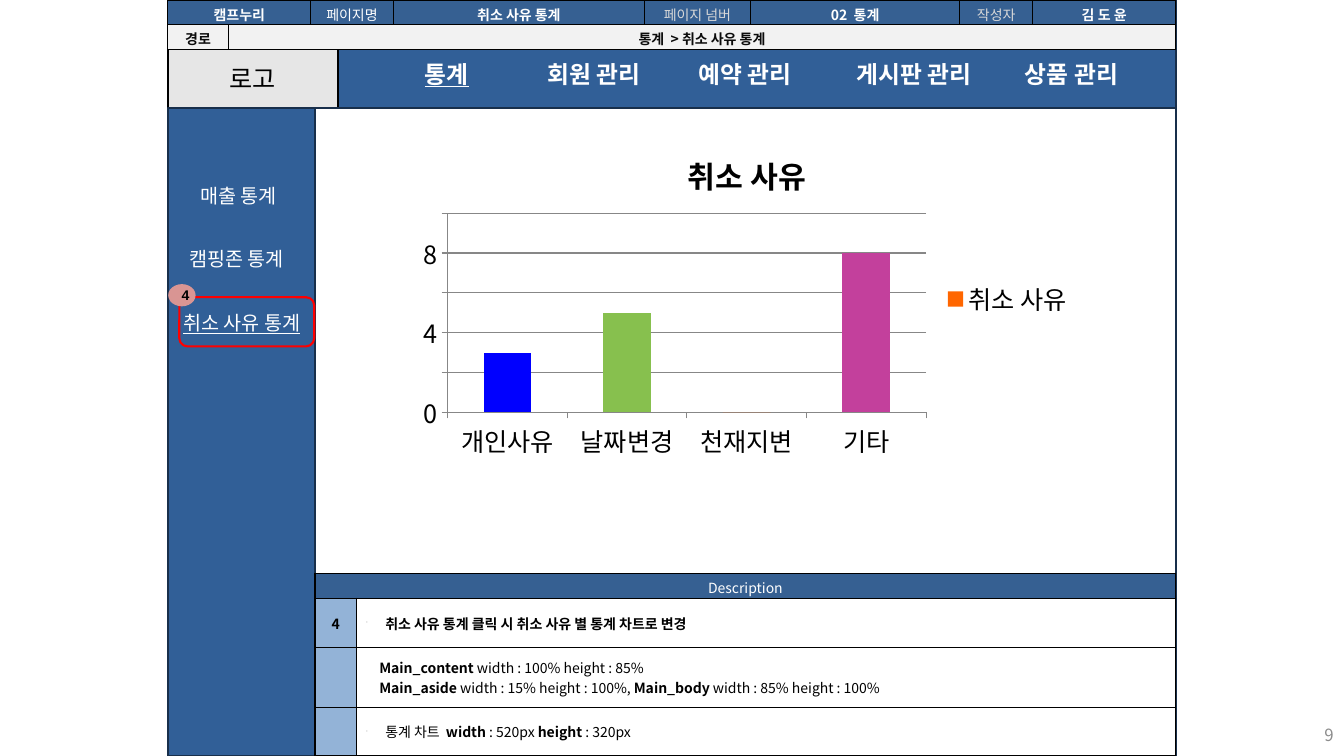
from lxml.etree import SubElement
from pptx import Presentation
from pptx.chart.data import CategoryChartData
from pptx.dml.color import RGBColor
from pptx.enum.chart import XL_CHART_TYPE as ChartType, XL_LEGEND_POSITION as LegendPosition, XL_TICK_MARK as TickMark
from pptx.enum.shapes import MSO_SHAPE as Preset
from pptx.enum.text import MSO_ANCHOR as Anchor, MSO_AUTO_SIZE as AutoSize, PP_ALIGN as Align
from pptx.oxml.ns import qn
from pptx.util import Cm, Pt

THEME = {
    "font": "Noto Sans CJK KR", "badge_font": "Arial",
    "navy": "315F97", "outline": "182F4B", "header": "366092", "key": "93B3D7",
    "path": "F2F2F2", "logo": "E6E6E6", "badge": "D99593", "highlight": "FF0000",
    "white": "FFFFFF", "black": "000000", "muted": "D8D8D8", "path_text": "0C0C0C",
    "page": "8C8C8C", "grid": "878787", "series": "FF6600",
    "bars": {0: "0000FF", 1: "87C04E", 3: "C3409C"},
    "logo_size": 18, "nav_size": 17, "side_size": 14, "small_size": 10,
    "page_size": 12, "chart_size": 18, "title_size": 21.6,
}


def write_runs(paragraph, runs, size, color, align=Align.CENTER, font="font"):
    paragraph.alignment = align
    for text, style in runs:
        run = paragraph.add_run()
        run.text = text
        values = {"name": THEME[font], "size": Pt(THEME[size]), "bold": "b" in style, "underline": "u" in style}
        for name, value in values.items():
            setattr(run.font, name, value)
        run.font.color.rgb = RGBColor.from_string(THEME[color])
        SubElement(run._r.get_or_add_rPr(), qn("a:ea"), typeface=THEME[font])


def style_cell(cell, fill, anchor):
    values = {"margin_left": Cm(0.25), "margin_right": Cm(0.25), "margin_top": Cm(0.1),
              "margin_bottom": Cm(0.1), "vertical_anchor": anchor}
    for name, value in values.items():
        setattr(cell, name, value)
    properties = cell._tc.get_or_add_tcPr()
    for side in ("a:lnL", "a:lnR", "a:lnT", "a:lnB"):
        border = SubElement(properties, qn(side), w=str(Pt(1)))
        SubElement(SubElement(border, qn("a:solidFill")), qn("a:srgbClr"), val=THEME["black"])
    cell.fill.solid()
    cell.fill.fore_color.rgb = RGBColor.from_string(THEME[fill])


presentation = Presentation()
presentation.slide_width, presentation.slide_height = Cm(33.87), Cm(19.05)
slide = presentation.slides.add_slide(presentation.slide_layouts[6])

panels = [
    (Preset.RECTANGLE, 4.23, 0, 25.4, 19.05, None, "outline", None),
    (Preset.RECTANGLE, 4.23, 0, 25.4, 2.72, "navy", "outline", None),
    (Preset.RECTANGLE, 4.23, 1.22, 4.29, 1.5, "logo", "black", ("로고", "", "logo_size", "font")),
    (Preset.RECTANGLE, 4.23, 2.72, 3.71, 16.33, "navy", "outline", None),
    (Preset.RECTANGLE, 7.94, 2.72, 21.69, 16.33, None, "outline", None),
    (Preset.ROUNDED_RECTANGLE, 4.52, 7.49, 3.4, 1.24, None, "highlight", None),
    (Preset.OVAL, 4.24, 7.16, 0.69, 0.56, "badge", None, ("4", "b", "small_size", "badge_font")),
]
for preset, left, top, width, height, fill, line, label in panels:
    shape = slide.shapes.add_shape(preset, Cm(left), Cm(top), Cm(width), Cm(height))
    shape.shadow.inherit = False
    if fill:
        shape.fill.solid()
        shape.fill.fore_color.rgb = RGBColor.from_string(THEME[fill])
    else:
        shape.fill.background()
    if line:
        shape.line.color.rgb = RGBColor.from_string(THEME[line])
        shape.line.width = Pt(1.5)
    else:
        shape.line.fill.background()
    if label:
        text, style, size, font = label
        shape.text_frame.vertical_anchor = Anchor.MIDDLE
        write_runs(shape.text_frame.paragraphs[0], [(text, style)], size, "black", font=font)

nav_items = [("통계", 10.46, 1.7, "bu"), ("회원 관리", 13.54, 3, "b"), ("예약 관리", 17.35, 3.02, "b"),
             ("게시판 관리", 21.34, 3.58, "b"), ("상품 관리", 25.58, 3, "b")]
side_items = [("매출 통계", 4.8, 2.57, ""), ("캠핑존 통계", 4.52, 3.05, ""), ("취소 사유 통계", 4.37, 3.71, "u")]
menu = [(text, left, 1.37, width, 0.99, style, "nav_size") for text, left, width, style in nav_items]
menu += [(text, left, 4.5 + 1.6 * index, width, 0.81, style, "side_size")
         for index, (text, left, width, style) in enumerate(side_items)]
for text, left, top, width, height, style, size in menu:
    box = slide.shapes.add_textbox(Cm(left), Cm(top), Cm(width), Cm(height))
    box.text_frame.word_wrap = False
    box.text_frame.auto_size = AutoSize.SHAPE_TO_FIT_TEXT
    write_runs(box.text_frame.paragraphs[0], [(text, style)], size, "white", Align.LEFT)

descriptions = [
    ("4", True, [[("취소 사유 통계 클릭 시 취소 사유 별 통계 차트로 변경", "b")]]),
    ("", False, [[("Main_content ", "b"), ("width : 100% height : 85%", "")],
                 [("Main_aside", "b"), (" width : 15% height : 100%, ", ""),
                  ("Main_body ", "b"), ("width : 85% height : 100%", "")]]),
    ("", True, [[("통계 차트  ", ""), ("width", "b"), (" : 520px ", ""), ("height", "b"), (" : 320px", "")]]),
]
header_cells = [(0, "캠프누리", "white", "b"), (2, "페이지명", "white", ""), (3, "취소 사유 통계", "white", "b"),
                (4, "페이지 넘버", "muted", ""), (5, "02  통계", "white", "b"),
                (6, "작성자", "muted", ""), (7, "김 도 윤", "white", "b")]
layouts = [
    (7.94, 14.45, [1.04, 20.65], [0.6, 1.25, 1.5, 1.22]),
    (4.23, 0, [1.52, 2.08, 2.08, 6.33, 2.67, 5.28, 1.83, 3.61], [0.61, 0.61]),
]
tables = []
for left, top, widths, heights in layouts:
    frame = slide.shapes.add_table(len(heights), len(widths), Cm(left), Cm(top), Cm(sum(widths)), Cm(sum(heights)))
    table = frame.table
    table.first_row = table.horz_banding = False
    for column, width in zip(table.columns, widths):
        column.width = Cm(width)
    for row, height in zip(table.rows, heights):
        row.height = Cm(height)
    tables.append(table)
description_table, header_table = tables

for cell in description_table.iter_cells():
    style_cell(cell, "white", Anchor.MIDDLE)
for column in range(2):
    description_table.cell(0, column).fill.fore_color.rgb = RGBColor.from_string(THEME["header"])
description_table.cell(0, 0).merge(description_table.cell(0, 1))
write_runs(description_table.cell(0, 0).text_frame.paragraphs[0], [("Description", "")], "small_size", "white")
for row, (number, bulleted, lines) in enumerate(descriptions, 1):
    key = description_table.cell(row, 0)
    key.fill.fore_color.rgb = RGBColor.from_string(THEME["key"])
    write_runs(key.text_frame.paragraphs[0], [(number, "b")], "small_size", "black")
    text_frame = description_table.cell(row, 1).text_frame
    for index, runs in enumerate(lines):
        paragraph = text_frame.add_paragraph() if index else text_frame.paragraphs[0]
        write_runs(paragraph, runs, "small_size", "black", Align.LEFT)
        properties = paragraph._p.get_or_add_pPr()
        properties.set("marL", str(Cm(0.48 if bulleted else 0.33)))
        properties.set("indent", str(Cm(-0.48 if bulleted else 0)))
        if bulleted:
            SubElement(SubElement(properties, qn("a:buClr")), qn("a:srgbClr"), val=THEME["black"])
            SubElement(properties, qn("a:buSzPct"), val="25000")
            SubElement(properties, qn("a:buChar"), char="-")

for row, (fill, anchor) in enumerate([("header", Anchor.TOP), ("path", Anchor.MIDDLE)]):
    for column in range(8):
        style_cell(header_table.cell(row, column), fill, anchor)
header_table.cell(0, 0).merge(header_table.cell(0, 1))
header_table.cell(1, 1).merge(header_table.cell(1, 7))
for column, text, color, style in header_cells:
    write_runs(header_table.cell(0, column).text_frame.paragraphs[0], [(text, style)], "small_size", color)
for column, text in enumerate(["경로", "통계  > 취소 사유 통계"]):
    write_runs(header_table.cell(1, column).text_frame.paragraphs[0], [(text, "b")], "small_size", "path_text")

chart_data = CategoryChartData()
chart_data.categories = ["개인사유", "날짜변경", "천재지변", "기타"]
chart_data.add_series("취소 사유", [3, 5, 0, 8])
chart = slide.shapes.add_chart(ChartType.COLUMN_CLUSTERED, Cm(10.34), Cm(3.33), Cm(16.97), Cm(8.41), chart_data).chart
chart.font.name = THEME["font"]
chart.font.size = Pt(THEME["chart_size"])
chart.font.color.rgb = RGBColor.from_string(THEME["black"])
chart.has_title = True
write_runs(chart.chart_title.text_frame.paragraphs[0], [("취소 사유", "b")], "title_size", "black")
chart.has_legend = True
chart.legend.position = LegendPosition.RIGHT
chart.legend.include_in_layout = False
value_axis = chart.value_axis
for name, value in {"minimum_scale": 0, "maximum_scale": 10, "major_unit": 2, "has_major_gridlines": True}.items():
    setattr(value_axis, name, value)
for axis in (chart.category_axis, value_axis):
    axis.major_tick_mark = TickMark.OUTSIDE
for axis_line in (chart.category_axis.format.line, value_axis.format.line, value_axis.major_gridlines.format.line):
    axis_line.color.rgb = RGBColor.from_string(THEME["grid"])
    axis_line.width = Pt(0.75)
plot = chart.plots[0]
plot.gap_width = 150
plot.vary_by_categories = False
series = plot.series[0]
series.format.fill.solid()
series.format.fill.fore_color.rgb = RGBColor.from_string(THEME["series"])
for index, color in THEME["bars"].items():
    bar_fill = series.points[index].format.fill
    bar_fill.solid()
    bar_fill.fore_color.rgb = RGBColor.from_string(color)

page_number = slide.shapes.add_textbox(Cm(25.96), Cm(18.01), Cm(7.9), Cm(1.02))
page_number.text_frame.word_wrap = True
page_number.text_frame.vertical_anchor = Anchor.MIDDLE
write_runs(page_number.text_frame.paragraphs[0], [("9", "")], "page_size", "page", Align.RIGHT)

presentation.save("out.pptx")
